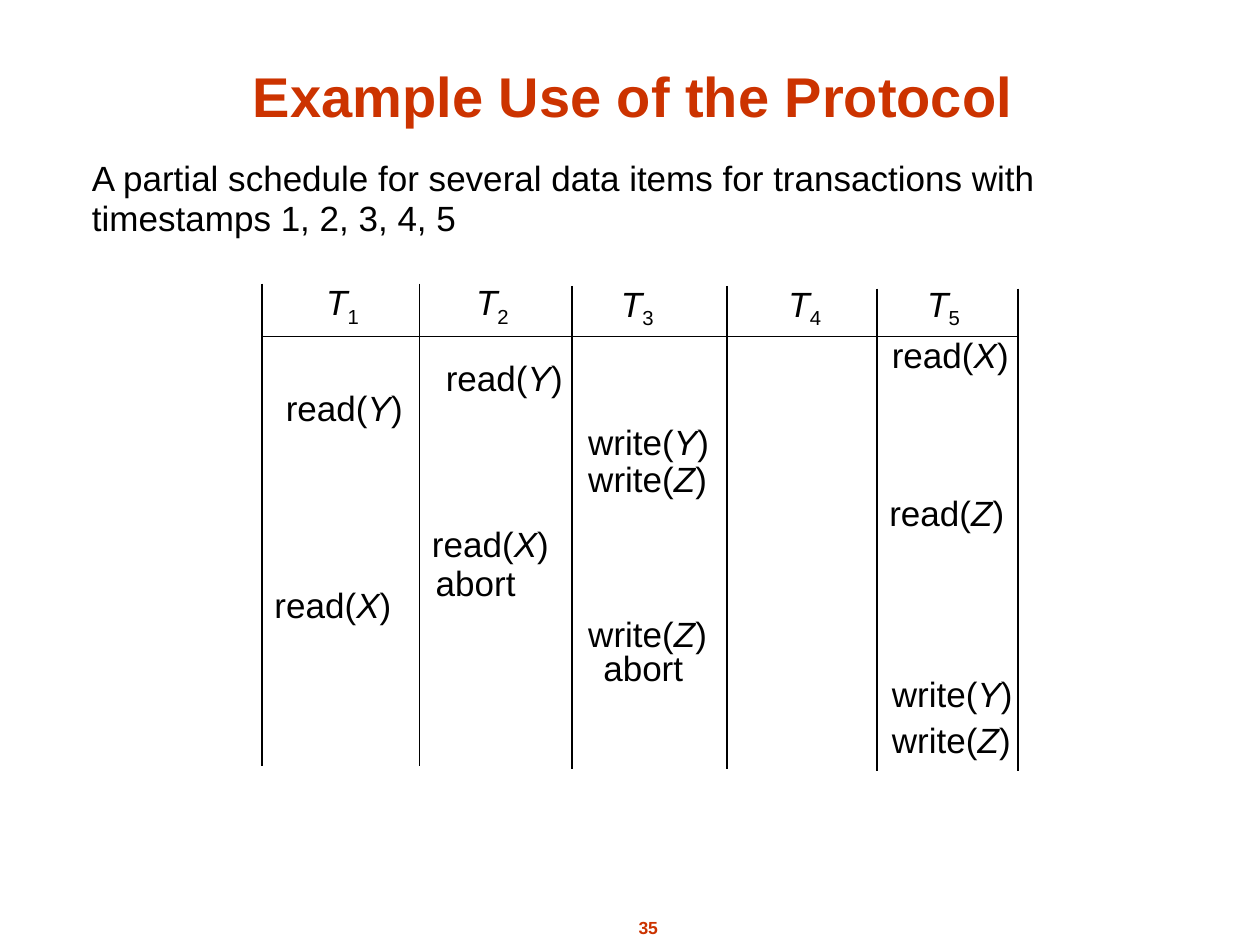
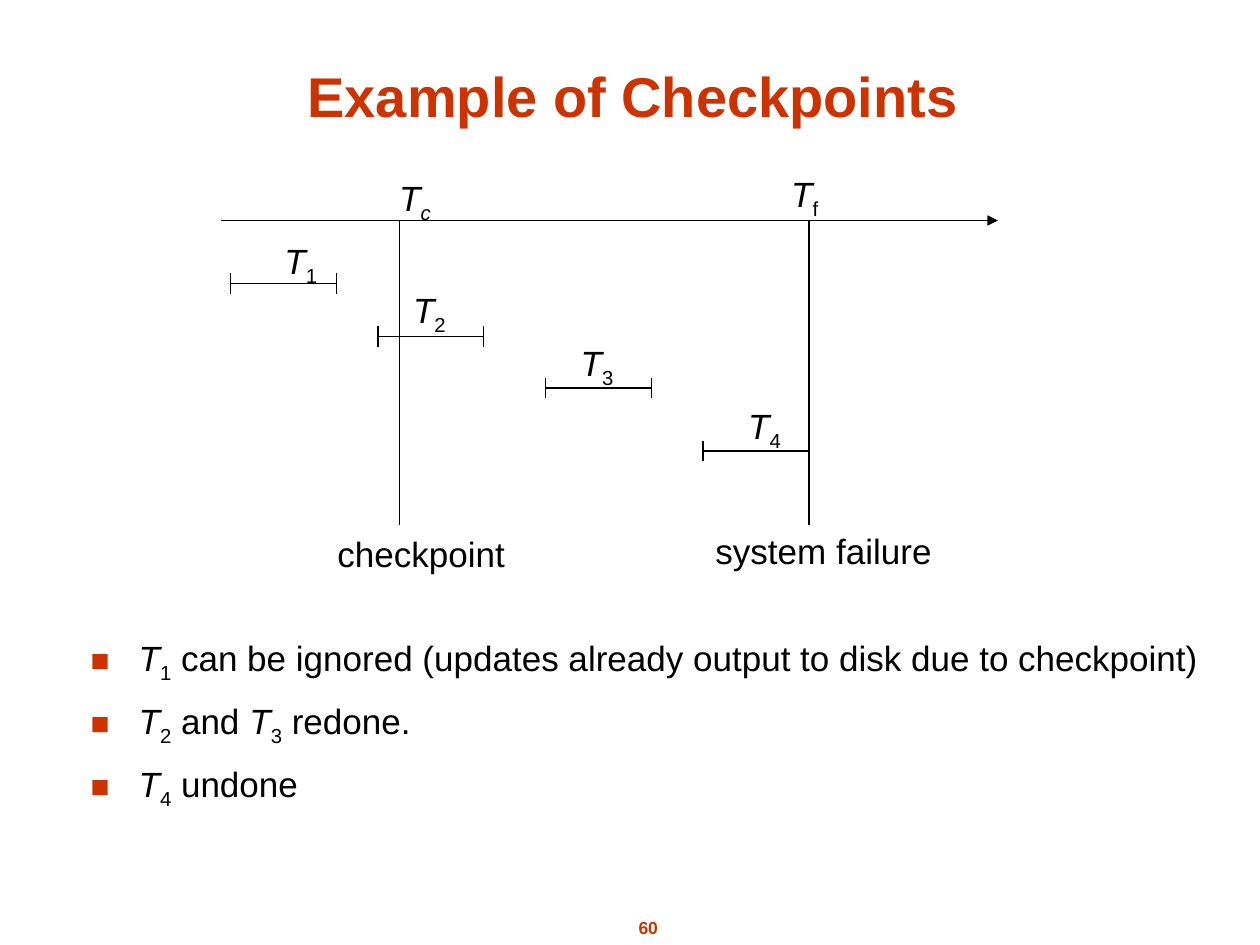
"""Build two slides: a timestamp protocol schedule and a checkpoint timeline."""
from lxml import etree
from pptx import Presentation
from pptx.dml.color import RGBColor
from pptx.enum import shapes, text
from pptx.oxml.ns import qn
from pptx.util import Inches, Pt

COLORS = {"accent": "CC3300", "ink": "000000"}
FONT = "Arial"
HANG = Inches(0.38)


def style(paragraph, marked, size=20, color="ink", bold=False, before=0):
    """Fill a paragraph; *...* is italic and _..._ is subscript."""
    font = paragraph.font
    font.name, font.size, font.bold = FONT, Pt(size), bold
    font.color.rgb = RGBColor.from_string(COLORS[color])
    paragraph.space_before = Pt(before)
    for i, part in enumerate(marked.split("*")):
        for j, piece in enumerate(part.split("_")):
            if piece:
                run = paragraph.add_run()
                run.text = piece
                if i % 2:
                    run.font.italic = True
                if j % 2:
                    run._r.get_or_add_rPr().set("baseline", "-25000")


def add_label(slide, marked, left, top, width, height, **look):
    """Add an unwrapped text box and return its paragraph."""
    frame = slide.shapes.add_textbox(*map(Inches, (left, top, width, height))).text_frame
    frame.word_wrap = False
    frame.auto_size = text.MSO_AUTO_SIZE.SHAPE_TO_FIT_TEXT
    style(frame.paragraphs[0], marked, **look)
    return frame.paragraphs[0]


column_edges = [(2.08, 2.25), (3.33, 2.25), (4.54, 2.27), (5.77, 2.27), (6.96, 2.29), (8.08, 2.29)]
schedule_lines = [(x, y, x, y + 3.83) for x, y in column_edges] + [(2.08, 2.67, 8.08, 2.67)]
transaction_heads = [(2.49, 2.18), (3.68, 2.18), (4.83, 2.19), (6.16, 2.19), (7.26, 2.19)]
schedule_labels = [(f"*T*_{n}_", x, y, 0.46) for n, (x, y) in enumerate(transaction_heads, 1)]
schedule_labels += [
    ("read(*X*)", 6.98, 2.6, 1.13),
    ("read(*Y*)", 3.44, 2.78, 1.13),
    ("read(*Y*)", 2.17, 3.02, 1.13),
    ("write(*Y*)", 4.57, 3.29, 1.23),
    ("write(*Z*)", 4.57, 3.58, 1.22),
    ("read(*Z*)", 6.96, 3.85, 1.13),
    ("read(*X*)", 3.33, 4.1, 1.13),
    ("abort", 3.36, 4.41, 0.84),
    ("read(*X*)", 2.08, 4.58, 1.13),
    ("write(*Z*)", 4.57, 4.81, 1.22),
    ("abort", 4.69, 5.08, 0.84),
    ("write(*Y*)", 6.98, 5.29, 1.23),
    ("write(*Z*)", 6.98, 5.65, 1.22),
]

time_axis = (1.75, 1.75, 7.92, 1.75)
timeline_lines = [time_axis, (3.17, 1.75, 3.17, 4.17), (6.42, 1.75, 6.42, 4.17)]
timeline_labels = [
    ("*T_c_*", 3.07, 1.35, 0.46),
    ("*T*_f_", 6.18, 1.32, 0.45),
    ("checkpoint", 2.58, 4.18, 1.55),
    ("system failure", 5.58, 4.15, 1.96),
]
transactions = [(1.83, 2.25, 2.16, 1.85), (3, 2.67, 3.18, 2.24),
                (4.33, 3.08, 4.51, 2.66), (5.58, 3.58, 5.84, 3.16)]
for n, (start, y, name_left, name_top) in enumerate(transactions, 1):
    end = start + 0.84
    timeline_lines.append((start, y, end, y))
    timeline_lines += [(x, y - 0.08, x, y + 0.08) for x in (start, end)]
    timeline_labels.append((f"*T*_{n}_", name_left, name_top, 0.46))

pages = [
    dict(title="Example Use of the Protocol", number="35", bulleted=False, gap=0, spacing=0.95,
         frame=(0.63, 1.22, 8.96, 5.33), lines=schedule_lines, labels=schedule_labels,
         body=["A partial schedule for several data items for transactions with",
               "timestamps 1, 2, 3, 4, 5"]),
    dict(title="Example of Checkpoints", number="60", bulleted=True, gap=8.8, spacing=1.0,
         frame=(0.62, 5, 9.04, 1.83), lines=timeline_lines, labels=timeline_labels,
         body=["*T*_1_ can be ignored (updates already output to disk due to checkpoint)",
               "*T*_2_ and *T*_3_ redone.",
               "*T*_4_ undone"]),
]

deck = Presentation()
deck.slide_width, deck.slide_height = Inches(10), Inches(7.5)

for page in pages:
    slide = deck.slides.add_slide(deck.slide_layouts[1])
    title, body = slide.placeholders
    for holder, box in ((title, (0.61, 0.4, 8.83, 0.67)), (body, page["frame"])):
        holder.left, holder.top, holder.width, holder.height = map(Inches, box)
        holder.text_frame.auto_size = text.MSO_AUTO_SIZE.NONE
    title.text_frame.vertical_anchor = text.MSO_ANCHOR.BOTTOM
    heading = title.text_frame.paragraphs[0]
    heading.alignment = text.PP_ALIGN.CENTER
    style(heading, page["title"], size=32, color="accent", bold=True)

    for n, item in enumerate(page["body"]):
        entry = body.text_frame.add_paragraph() if n else body.text_frame.paragraphs[0]
        style(entry, item, before=page["gap"] if n else 0)
        entry.line_spacing = page["spacing"]
        props = entry._p.get_or_add_pPr()
        props.set("marL", str(HANG))
        props.set("indent", str(-HANG))
        bullet = [("buNone", {})]
        if page["bulleted"]:
            bullet = [("buClr", {}), ("buSzPct", {"val": "90000"}),
                      ("buFont", {"typeface": FONT}), ("buChar", {"char": "■"})]
        for position, (tag, attributes) in enumerate(bullet, 2):
            mark = etree.Element(qn(f"a:{tag}"), attributes)
            props.insert(position, mark)
            if tag == "buClr":
                etree.SubElement(mark, qn("a:srgbClr"), val=COLORS["accent"])

    for ends in page["lines"]:
        rule = slide.shapes.add_connector(shapes.MSO_CONNECTOR.STRAIGHT, *map(Inches, ends))
        rule.line.width = Pt(0.75)
        rule.line.color.rgb = RGBColor.from_string(COLORS["ink"])
        if ends == time_axis:
            etree.SubElement(rule.line._get_or_add_ln(), qn("a:tailEnd"), type="triangle")
        etree.SubElement(rule._element.spPr, qn("a:effectLst"))

    for marked, left, top, width in page["labels"]:
        add_label(slide, marked, left, top, width, 0.48 if "_" in marked else 0.44)

    number = add_label(slide, page["number"], 4.71, 7.23, 0.87, 0.27,
                       size=10, color="accent", bold=True, before=6.2)
    number.alignment = text.PP_ALIGN.CENTER

deck.save("out.pptx")
